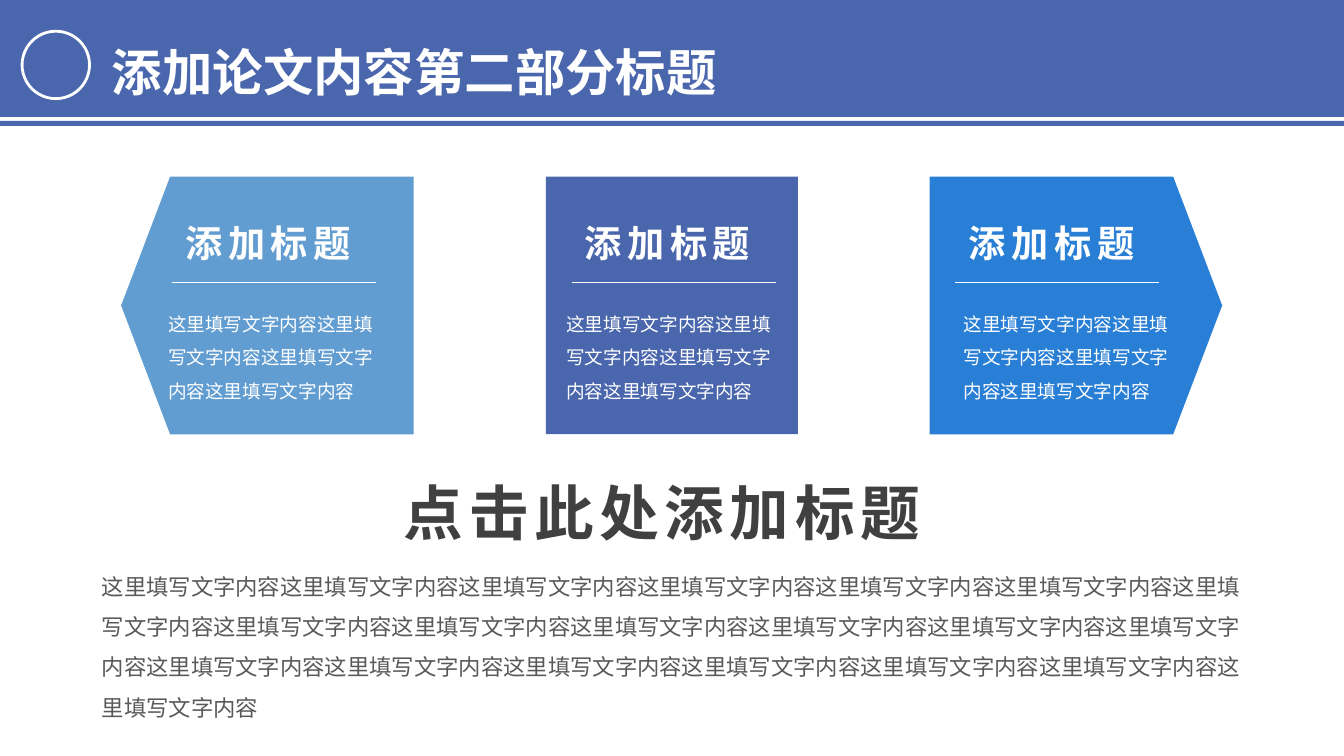
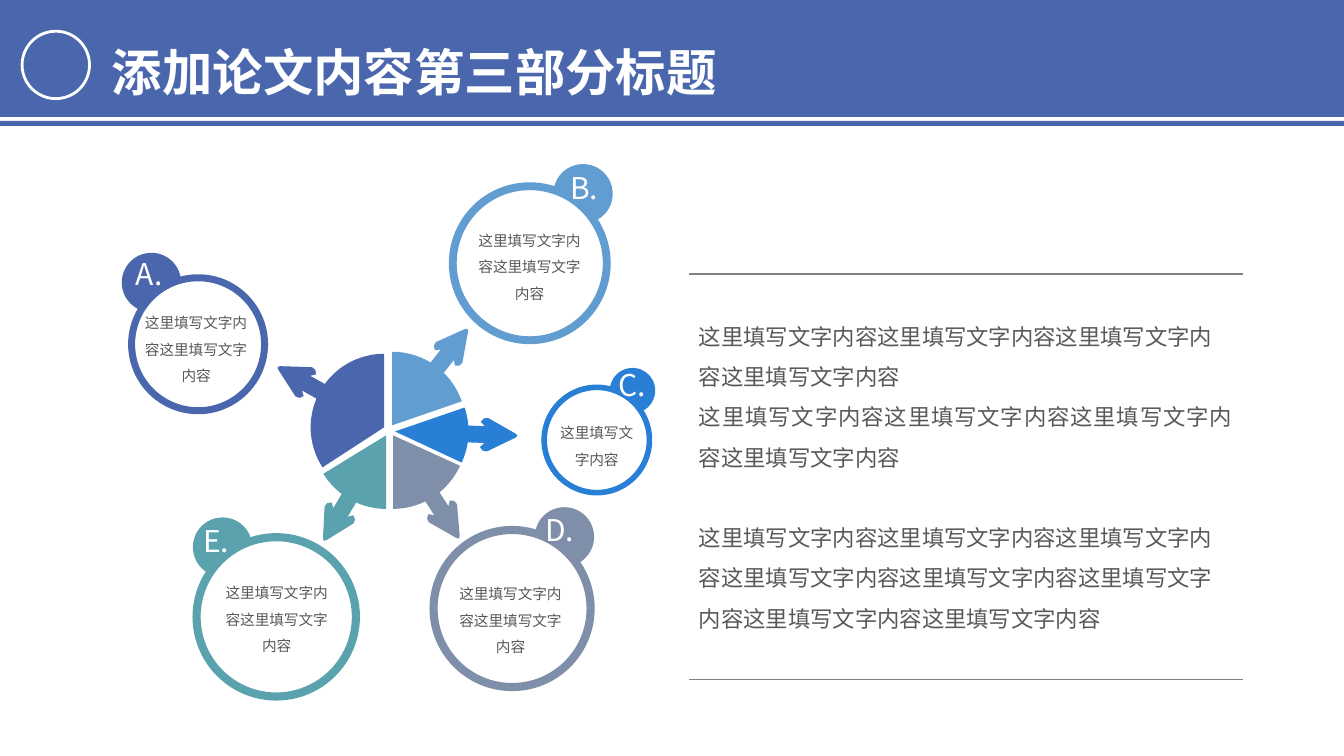
"""Build two thesis content slides: three cards, and a pie with five callouts."""
import math

import lxml.etree
import pptx
import pptx.dml.color
import pptx.enum.shapes
import pptx.enum.text
import pptx.oxml.ns
import pptx.util

Pt = pptx.util.Pt
RGBColor = pptx.dml.color.RGBColor
SHAPE = pptx.enum.shapes.MSO_SHAPE
ALIGN = pptx.enum.text.PP_ALIGN
qn = pptx.oxml.ns.qn

INDIGO = RGBColor(0x4A, 0x66, 0xAC)
SKY = RGBColor(0x62, 0x9D, 0xD1)
BLUE = RGBColor(0x29, 0x7F, 0xD5)
SLATE = RGBColor(0x7F, 0x8F, 0xA9)
TEAL = RGBColor(0x5A, 0xA2, 0xAE)
WHITE = RGBColor(0xFF, 0xFF, 0xFF)
HEADING = RGBColor(0x40, 0x40, 0x40)
BODY = RGBColor(0x59, 0x59, 0x59)
RULE = RGBColor(0x80, 0x80, 0x80)
FONT = "Noto Sans CJK SC"
FILLER = "这里填写文字内容"


def paint(shape, fill, line=None, width=0):
    """Give a shape a flat fill and an optional outline."""
    shape.shadow.inherit = False
    shape.fill.solid()
    shape.fill.fore_color.rgb = fill
    if line is None:
        shape.line.fill.background()
    else:
        shape.line.color.rgb = line
        shape.line.width = Pt(width)


def write(box, text, size, color, bold=False, tracking=0, spacing=1.0,
          align=ALIGN.LEFT, before=0, wrap=True):
    """Append one styled paragraph to a box."""
    frame = box.text_frame
    frame.word_wrap = wrap
    frame.auto_size = pptx.enum.text.MSO_AUTO_SIZE.NONE
    frame.vertical_anchor = pptx.enum.text.MSO_ANCHOR.TOP
    para = frame.paragraphs[0]
    if para.runs:
        para = frame.add_paragraph()
    para.alignment = align
    para.line_spacing = spacing
    para.space_before = Pt(before)
    if box.is_placeholder:
        properties = para._p.get_or_add_pPr()
        properties.set("marL", "0")
        properties.set("indent", "0")
        lxml.etree.SubElement(properties, qn("a:buNone"))
    span = para.add_run()
    span.text = text
    span.font.size = Pt(size)
    span.font.bold = bold
    span.font.color.rgb = color
    span.font.name = FONT
    run_properties = span._r.get_or_add_rPr()
    if tracking:
        run_properties.set("spc", str(tracking * 100))
    lxml.etree.SubElement(run_properties, qn("a:ea")).set("typeface", FONT)


deck = pptx.Presentation()
deck.slide_width, deck.slide_height = Pt(960), Pt(540)

pages = []
for title_text, body_area in [
    ("添加论文内容第二部分标题", (65.5, 396, 831, 120)),
    ("添加论文内容第三部分标题", (492, 217.4, 396, 240)),
]:
    page = deck.slides.add_slide(deck.slide_layouts[1])
    pages.append(page)

    title = page.shapes.title
    title.left, title.top, title.width, title.height = Pt(0), Pt(0), Pt(960), Pt(83.5)
    title.fill.solid()
    title.fill.fore_color.rgb = INDIGO
    title.text_frame.margin_left = Pt(80)
    title.text_frame.margin_top = Pt(7.9)
    write(title, title_text, 36, WHITE, bold=True, spacing=1.5)

    stripe = page.shapes.add_shape(SHAPE.RECTANGLE, Pt(0), Pt(86.4), Pt(960), Pt(3.6))
    paint(stripe, INDIGO)
    ring = page.shapes.add_shape(SHAPE.OVAL, Pt(15.8), Pt(22.3), Pt(48.2), Pt(48.2))
    paint(ring, INDIGO, WHITE, 2)

    body = page.placeholders[1]
    body.left, body.top, body.width, body.height = map(Pt, body_area)

cards_page, pie_page = pages
rules = [(pie_page, 492, y, 396, RULE, 1) for y in (195.8, 485.3)]

for preset, turn, color, left, width, heading_left, rule_left, text_left in [
    (SHAPE.PENTAGON, 180, SKY, 86.5, 209, 125.3, 122.6, 113),
    (SHAPE.RECTANGLE, 0, INDIGO, 390, 180, 410.4, 408.6, 397.4),
    (SHAPE.PENTAGON, 0, BLUE, 664, 209, 684.7, 682.2, 681.1),
]:
    card = cards_page.shapes.add_shape(preset, Pt(left), Pt(126.2), Pt(width), Pt(184))
    card.rotation = turn
    if preset == SHAPE.PENTAGON:
        card.adjustments[0] = 0.19
    paint(card, color)
    heading = cards_page.shapes.add_textbox(Pt(heading_left), Pt(154), Pt(138.2), Pt(39.6))
    write(heading, "添加标题", 26.6, WHITE, bold=True, tracking=4, wrap=False)
    detail = cards_page.shapes.add_textbox(Pt(text_left), Pt(211.7), Pt(165), Pt(80))
    write(detail, FILLER * 4, 13.3, WHITE, spacing=1.5)
    rules.append((cards_page, rule_left, 201.6, 146, WHITE, 0.5))

summary = cards_page.shapes.add_textbox(Pt(281.5), Pt(336.2), Pt(391), Pt(59))
write(summary, "点击此处添加标题", 42.6, HEADING, bold=True, tracking=4, wrap=False)
write(cards_page.placeholders[1], FILLER * 20, 16, BODY, spacing=1.5)

RADIUS = 52.5
ARROW = [(64, -6), (61, -9), (63, -11.5), (66, -12), (86, -1.5), (87.5, 0),
         (86, 1.5), (66, 12), (63, 11.5), (61, 9), (64, 6)]
SHAFT_ANGLE = math.degrees(math.asin(6 / RADIUS))
STEPS = 24

for color, apex_x, apex_y, start, end, aim in [
    (INDIGO, 274.4, 305.2, 147, 270, 209.5),
    (SKY, 280.2, 303.8, -90, -19, -52),
    (BLUE, 282.2, 308.2, -19, 25, 2),
    (SLATE, 280.8, 311, 24.5, 90, 57.4),
    (TEAL, 275.8, 311, 90, 148.5, 120.6),
]:
    outline = []
    for first, last in ((start, aim - SHAFT_ANGLE), (aim + SHAFT_ANGLE, end)):
        for step in range(STEPS + 1):
            angle = math.radians(first + (last - first) * step / STEPS)
            outline.append((apex_x + RADIUS * math.cos(angle),
                            apex_y + RADIUS * math.sin(angle)))
        if last != end:
            cosine, sine = math.cos(math.radians(aim)), math.sin(math.radians(aim))
            outline += [(apex_x + along * cosine - across * sine,
                         apex_y + along * sine + across * cosine)
                        for along, across in ARROW]
    builder = pie_page.shapes.build_freeform(Pt(apex_x), Pt(apex_y))
    builder.add_line_segments([(Pt(x), Pt(y)) for x, y in outline])
    paint(builder.convert_to_shape(), color)

for letter, color, ring_circle, band, badge_circle, letter_at, text_area, repeats in [
    ("A.", INDIGO, (141.5, 245.9, 50), 5, (108.2, 201.8, 21.2),
     (90, 179.3), (95.8, 214.6, 88.6), 2),
    ("B.", SKY, (378.4, 188, 57.8), 5.6, (416.5, 138.4, 21.2),
     (400.3, 117.4), (334, 155.5, 88.6), 2),
    ("C.", BLUE, (426.3, 314.3, 39.6), 4, (451.8, 279, 16.2),
     (434.9, 258.5), (388.8, 293, 74.9), 1),
    ("D.", SLATE, (365.8, 434.7, 59), 5.8, (403.2, 383.5, 21.2),
     (382.3, 362.2), (320.4, 408.2, 88.6), 2),
    ("E.", TEAL, (197.3, 440.6, 59.8), 5.8, (159, 390.8, 21.2),
     (138.2, 369.4), (153.4, 407.5, 88.6), 2),
]:
    for (x, y, radius), fill, width in ((badge_circle, color, 0), (ring_circle, WHITE, band)):
        reach = radius - width / 2
        circle = pie_page.shapes.add_shape(
            SHAPE.OVAL, Pt(x - reach), Pt(y - reach), Pt(2 * reach), Pt(2 * reach))
        paint(circle, fill, color if width else None, width)
    label = pie_page.shapes.add_textbox(*map(Pt, letter_at), Pt(36), Pt(33))
    write(label, letter, 21.4, WHITE, wrap=False)
    left, top, width = text_area
    note = pie_page.shapes.add_textbox(Pt(left), Pt(top), Pt(width), Pt(62))
    write(note, FILLER * repeats, 10.5, BODY, spacing=1.5, align=ALIGN.CENTER)

for repeats, align, before in [(4, ALIGN.LEFT, 0), (4, ALIGN.JUSTIFY, 0), (8, ALIGN.LEFT, 28.8)]:
    write(pie_page.placeholders[1], FILLER * repeats, 16, BODY,
          spacing=1.5, align=align, before=before)

for page, left, y, length, color, width in rules:
    rule = page.shapes.add_connector(
        pptx.enum.shapes.MSO_CONNECTOR.STRAIGHT, Pt(left), Pt(y), Pt(left + length), Pt(y))
    rule.line.color.rgb = color
    rule.line.width = Pt(width)
    lxml.etree.SubElement(rule._element.spPr, qn("a:effectLst"))

deck.save("out.pptx")
